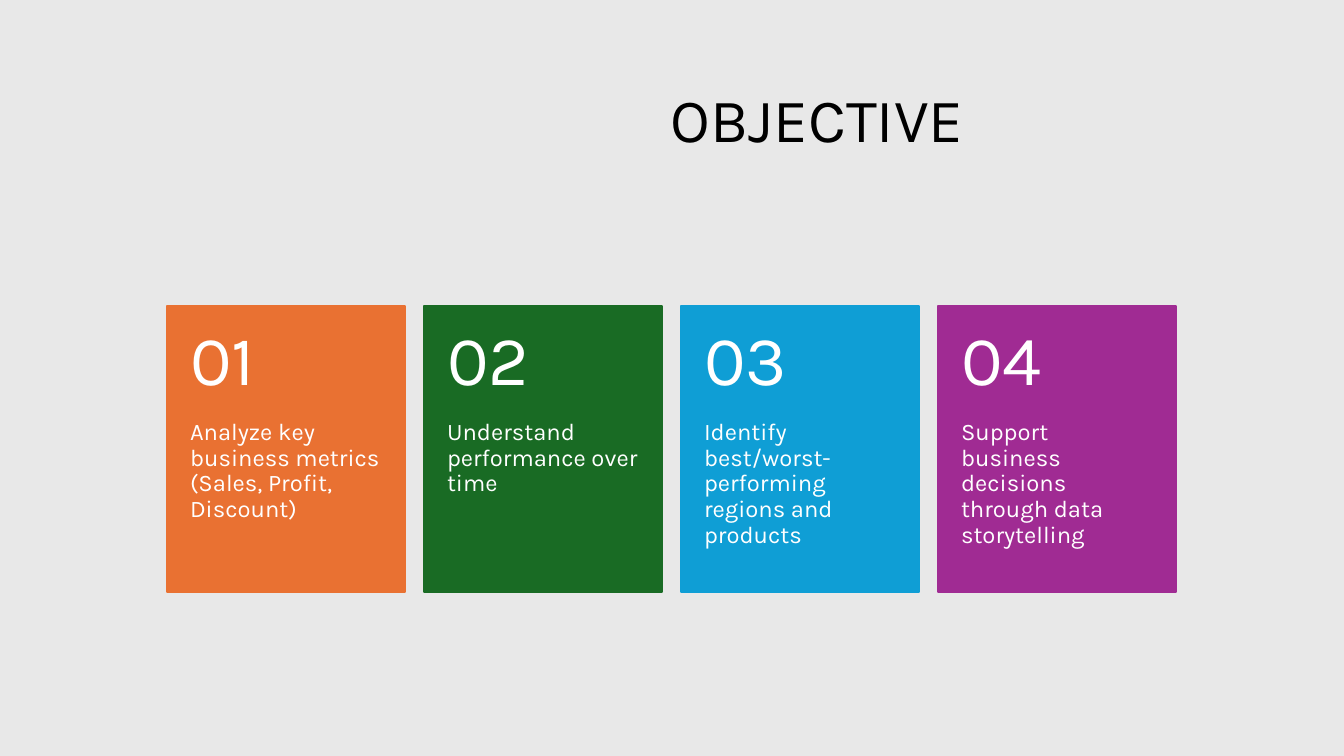
import pptx
import pptx.dml.color
import pptx.enum.shapes
import pptx.enum.text
import pptx.util

RGBColor = pptx.dml.color.RGBColor
Anchor = pptx.enum.text.MSO_ANCHOR

GREY = RGBColor(0xE8, 0xE8, 0xE8)
BLACK = RGBColor(0x00, 0x00, 0x00)
WHITE = RGBColor(0xFF, 0xFF, 0xFF)
ORANGE = RGBColor(0xE9, 0x71, 0x32)
GREEN = RGBColor(0x19, 0x6B, 0x24)
BLUE = RGBColor(0x0F, 0x9E, 0xD5)
PURPLE = RGBColor(0xA0, 0x2B, 0x93)

TITLE = "OBJECTIVE"
OBJECTIVES = [
    ("01", "Analyze key business metrics (Sales, Profit, Discount)", ORANGE),
    ("02", "Understand performance over time", GREEN),
    ("03", "Identify best/worst-performing regions and products", BLUE),
    ("04", "Support business decisions through data storytelling", PURPLE),
]

FONT = "Karla"
SLIDE_WIDTH, SLIDE_HEIGHT = 1344, 756
CARD_LEFT, CARD_TOP, CARD_WIDTH, CARD_HEIGHT = 167, 306, 238, 286
CARD_PITCH = 257
NUMBER_HEIGHT = 114


def px(length):
    return pptx.util.Emu(round(length * 914400 / 100.8))


def add_rectangle(slide, box, color, outlined):
    shape = slide.shapes.add_shape(
        pptx.enum.shapes.MSO_SHAPE.RECTANGLE, *map(px, box))
    shape.shadow.inherit = False
    shape.fill.solid()
    shape.fill.fore_color.rgb = color
    if outlined:
        shape.line.color.rgb = color
        shape.line.width = pptx.util.Pt(1.5)
    else:
        shape.line.fill.background()


def add_text(slide, box, text, size, color, insets, anchor):
    frame = slide.shapes.add_textbox(*map(px, box)).text_frame
    frame.word_wrap = True
    frame.vertical_anchor = anchor
    (frame.margin_left, frame.margin_top,
     frame.margin_right, frame.margin_bottom) = map(px, insets)
    paragraph = frame.paragraphs[0]
    paragraph.line_spacing = 0.9
    run = paragraph.add_run()
    run.text = text
    run.font.name = FONT
    run.font.size = pptx.util.Pt(size)
    run.font.color.rgb = color


def main():
    presentation = pptx.Presentation()
    presentation.slide_width = px(SLIDE_WIDTH)
    presentation.slide_height = px(SLIDE_HEIGHT)
    slide = presentation.slides.add_slide(presentation.slide_layouts[6])

    add_rectangle(slide, (0, 0, SLIDE_WIDTH, SLIDE_HEIGHT), GREY, False)
    add_text(slide, (CARD_LEFT, 60, 1010, 125), TITLE, 44, BLACK,
             (504, 5, 10, 5), Anchor.MIDDLE)

    for index, (number, text, color) in enumerate(OBJECTIVES):
        left = CARD_LEFT + index * CARD_PITCH
        add_rectangle(slide, (left, CARD_TOP, CARD_WIDTH, CARD_HEIGHT), color, True)
        add_text(slide, (left, CARD_TOP + NUMBER_HEIGHT, CARD_WIDTH,
                         CARD_HEIGHT - NUMBER_HEIGHT),
                 text, 17, WHITE, (23, 0, 23, 36), Anchor.TOP)
        add_text(slide, (left, CARD_TOP, CARD_WIDTH, NUMBER_HEIGHT),
                 number, 50, WHITE, (23, 18, 23, 18), Anchor.MIDDLE)

    presentation.save("out.pptx")


if __name__ == "__main__":
    main()
